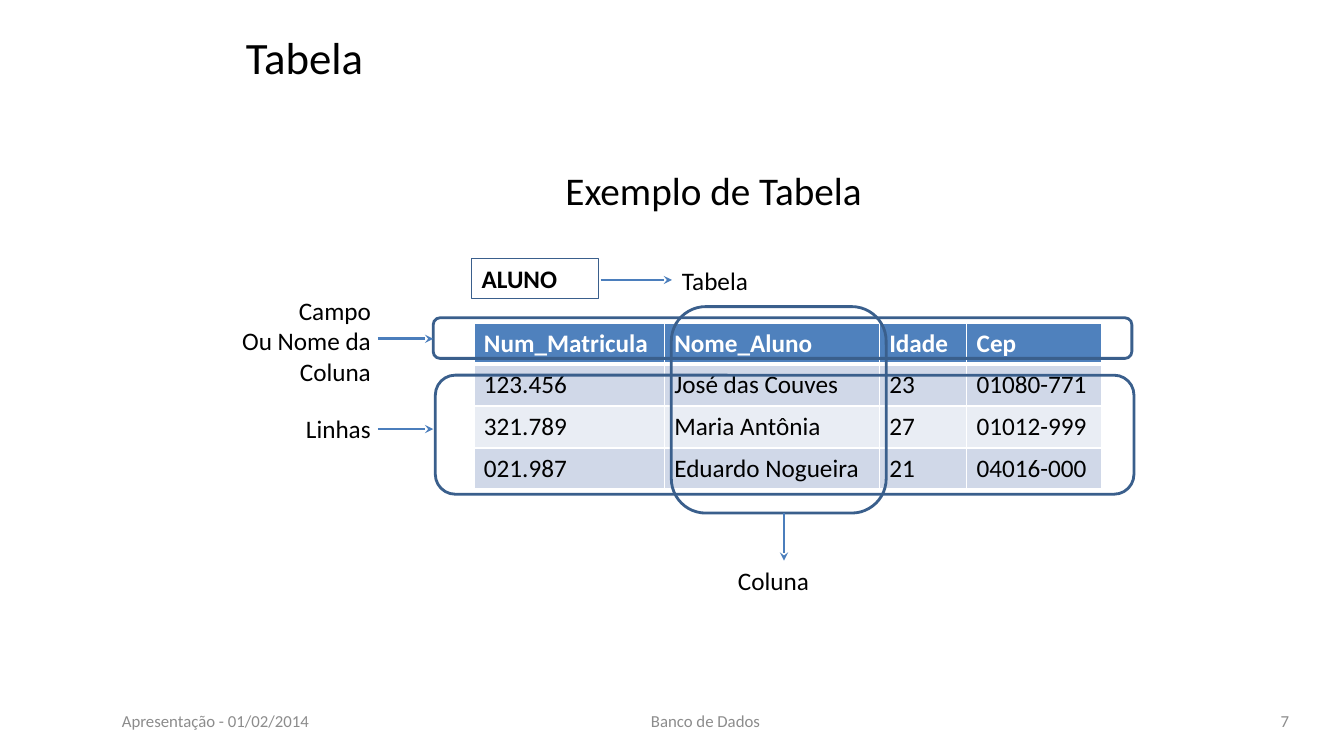
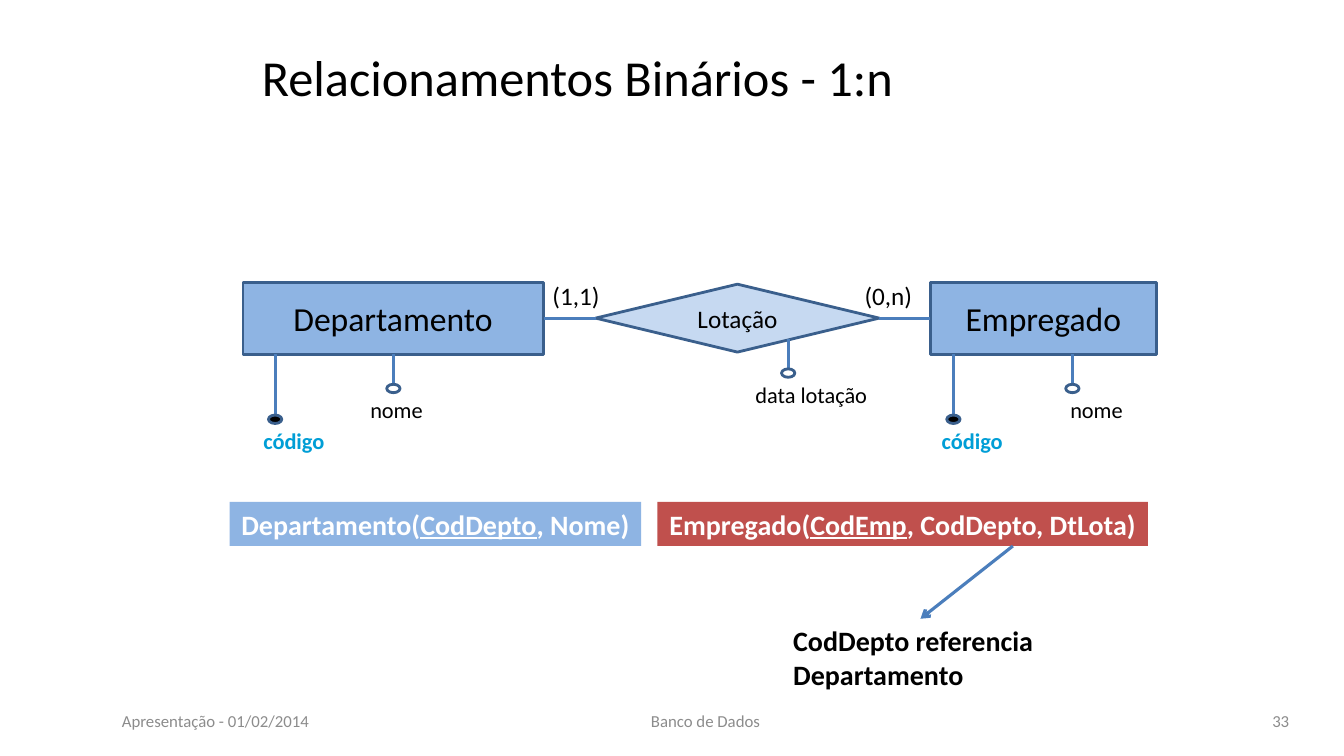
from dataclasses import dataclass

from lxml.etree import SubElement
from pptx import Presentation
from pptx.dml.color import RGBColor
from pptx.enum.shapes import MSO_CONNECTOR, MSO_SHAPE
from pptx.enum.text import MSO_ANCHOR, PP_ALIGN
from pptx.oxml.ns import qn
from pptx.util import Pt


# Theme: colours, type sizes and line widths
@dataclass(frozen=True)
class Theme:
    font: str = "Calibri"
    black: str = "000000"
    white: str = "FFFFFF"
    gray: str = "8C8C8C"
    edge: str = "3A5F8C"
    link: str = "4B7EBC"
    blue: str = "8EB4E3"
    pale: str = "C6D9F1"
    red: str = "C0504D"
    key: str = "009ED6"
    head: str = "4F81BD"
    bands: tuple = ("D0D8E8", "E9EDF4")
    foot: int = 12
    small: int = 16
    body: int = 18
    large: int = 20
    box: int = 24
    sub: int = 28
    title: int = 32
    wide: int = 36
    line: int = 2


T = Theme()
LEFT, MID, RIGHT = PP_ALIGN.LEFT, PP_ALIGN.CENTER, PP_ALIGN.RIGHT


def rgb(code):
    return RGBColor.from_string(code)


# Text
def add_run(para, text, size, color=T.black, bold=False, under=False):
    run = para.add_run()
    run.text = text
    font = run.font
    font.name, font.size = T.font, Pt(size)
    font.bold, font.underline = bold, under
    font.color.rgb = rgb(color)


def fill_text(frame, lines, size, align=LEFT, anchor=MSO_ANCHOR.TOP,
              wrap=True, **style):
    frame.word_wrap = wrap
    frame.vertical_anchor = anchor
    for i, line in enumerate(lines):
        para = frame.paragraphs[0] if i == 0 else frame.add_paragraph()
        para.alignment = align
        add_run(para, line, size, **style)


def add_text(slide, area, text, size=T.body, **style):
    box = slide.shapes.add_textbox(*map(Pt, area))
    fill_text(box.text_frame, text.split("\n"), size, **style)
    return box.text_frame


# Shapes and lines
def add_box(slide, kind, area, fill=None, edge=T.edge, width=T.line):
    shape = slide.shapes.add_shape(kind, *map(Pt, area))
    shape.shadow.inherit = False
    if fill:
        shape.fill.solid()
        shape.fill.fore_color.rgb = rgb(fill)
    else:
        shape.fill.background()
    if edge:
        shape.line.color.rgb = rgb(edge)
        shape.line.width = Pt(width)
    else:
        shape.line.fill.background()
    return shape


def add_line(slide, x1, y1, x2, y2, tip=None, width=T.line):
    line = slide.shapes.add_connector(
        MSO_CONNECTOR.STRAIGHT, Pt(x1), Pt(y1), Pt(x2), Pt(y2))
    line.line.color.rgb = rgb(T.link)
    line.line.width = Pt(width)
    props = line._element.spPr
    if tip:
        SubElement(props.find(qn("a:ln")), qn("a:tailEnd"), type=tip)
    SubElement(props, qn("a:effectLst"))


# Table
def add_edge(cell, side, width):
    props = cell._tc.get_or_add_tcPr()
    line = SubElement(props, qn("a:ln" + side), w=str(Pt(width)))
    paint = SubElement(line, qn("a:solidFill"))
    SubElement(paint, qn("a:srgbClr"), val=T.white)


def add_grid(slide, left, top, cols, rows, data):
    grid = slide.shapes.add_table(
        len(rows), len(cols), Pt(left), Pt(top),
        Pt(sum(cols)), Pt(sum(rows))).table
    for col, width in zip(grid.columns, cols):
        col.width = Pt(width)
    for r, (row, high) in enumerate(zip(data, rows)):
        grid.rows[r].height = Pt(high)
        first = r == 0
        for c, text in enumerate(row):
            cell = grid.cell(r, c)
            edges = {"L": 1, "R": 1, "T": 3 if r == 1 else 1,
                     "B": 3 if first else 1}
            for side, width in edges.items():
                add_edge(cell, side, width)
            cell.fill.solid()
            cell.fill.fore_color.rgb = rgb(
                T.head if first else T.bands[(r - 1) % 2])
            add_run(cell.text_frame.paragraphs[0], text, T.body,
                    T.white if first else T.black, bold=first)


# Entity diagram parts
def add_node(slide, kind, area, text, size, fill):
    shape = add_box(slide, kind, area, fill)
    fill_text(shape.text_frame, [text], size, align=MID,
              anchor=MSO_ANCHOR.MIDDLE)


def add_field(slide, x, top, end, name, left, width, key=False, align=LEFT):
    add_line(slide, x, top, x, end)
    add_box(slide, MSO_SHAPE.FLOWCHART_CONNECTOR, (x - 4.75, end, 9.5, 6),
            T.black if key else None)
    add_text(slide, (left, end + 5, width, 26.5), name, T.small, wrap=False,
             align=align, color=T.key if key else T.black, bold=key)


def add_schema(slide, left, width, fill, start, key, rest):
    shape = add_box(slide, MSO_SHAPE.RECTANGLE, (left, 358.5, width, 31.5),
                    fill, None)
    shape.text_frame.word_wrap = False
    para = shape.text_frame.paragraphs[0]
    para.alignment = MID
    for text in (start, key, rest):
        add_run(para, text, T.large, T.white, bold=True, under=text == key)


# Slide frame: title and footer
def new_slide(deck, title, area, size, page):
    slide = deck.slides.add_slide(deck.slide_layouts[6])
    add_text(slide, area, title, size, anchor=MSO_ANCHOR.MIDDLE)
    for left, width, text, align in (
            (80, 224, "Apresentação - 01/02/2014", LEFT),
            (352, 304, "Banco de Dados", MID),
            (704, 224, page, RIGHT)):
        add_text(slide, (left, 500.5, width, 29), text, T.foot, align=align,
                 anchor=MSO_ANCHOR.MIDDLE, color=T.gray)
    return slide


def table_slide(deck):
    slide = new_slide(deck, "Tabela", (168.5, 3.5, 663, 73.5), T.title, "7")
    frame = add_text(slide, (168.5, 66, 646.5, 102), "Exemplo de Tabela",
                     T.sub, align=MID)
    frame.margin_left, frame.margin_top = Pt(43), Pt(53)

    add_grid(slide, 338.5, 231, (136, 153.5, 62.5, 96.5), (29, 30, 30, 29), (
        ("Num_Matricula", "Nome_Aluno", "Idade", "Cep"),
        ("123.456", "José das Couves", "23", "01080-771"),
        ("321.789", "Maria Antônia", "27", "01012-999"),
        ("021.987", "Eduardo Nogueira", "21", "04016-000")))

    # Table name
    name = add_box(slide, MSO_SHAPE.RECTANGLE, (337, 184.5, 90.5, 29),
                   width=0.75)
    fill_text(name.text_frame, ["ALUNO"], T.body, bold=True)

    # Frames round the header, the rows and one column
    for area in ((309.5, 227, 499, 29), (311, 268, 499, 85),
                 (479.5, 219, 153.5, 147.5)):
        add_box(slide, MSO_SHAPE.ROUNDED_RECTANGLE, area)

    # Arrows and their labels
    for ends in ((270, 242, 309.5, 242), (429, 200, 480, 200),
                 (270, 306.5, 309.5, 306.5), (560, 366.5, 560, 400.5)):
        add_line(slide, *ends, tip="stealth")
    add_text(slide, (151, 207.5, 121, 72.5), "Campo\nOu Nome da Coluna",
             align=RIGHT)
    add_text(slide, (480, 186, 306, 29), "Tabela")
    add_text(slide, (211.5, 291.5, 64, 29), "Linhas")
    add_text(slide, (520, 400.5, 85, 29), "Coluna")


def link_slide(deck):
    slide = new_slide(deck, "Relacionamentos Binários - 1:n",
                      (180, 21, 636, 67.5), T.wide, "33")

    # Entities and their relation
    for left, width, text in ((664.5, 161.5, "Empregado"),
                              (173.5, 214.5, "Departamento")):
        add_node(slide, MSO_SHAPE.RECTANGLE, (left, 202, width, 51), text,
                 T.box, T.blue)
    add_node(slide, MSO_SHAPE.FLOWCHART_DECISION, (425.5, 203, 202.5, 48.5),
             "Lotação", T.body, T.pale)
    for start, end, left, text in ((388.5, 425.5, 387.5, "(1,1)"),
                                   (628, 664.5, 610.5, "(0,n)")):
        add_line(slide, start, 227.5, end, 227.5)
        add_text(slide, (left, 196.5, 49, 29), text, wrap=False)

    # Fields
    for x in (196.5, 681):
        add_field(slide, x, 253, 296.5, "código", x - 15.5, 59, key=True)
    for x, left in ((281, 257), (766, 757)):
        add_field(slide, x, 253, 274.5, "nome", left, 52.5, align=MID)
    add_field(slide, 563, 242, 263.5, "data lotação", 532, 95, align=MID)

    # Schemas and the foreign key
    add_schema(slide, 164, 294, T.blue, "Departamento(", "CodDepto", ", Nome)")
    add_schema(slide, 469.5, 350.5, T.red, "Empregado(", "CodEmp",
               ", CodDepto, DtLota)")
    add_text(slide, (559.5, 442, 222, 55.5), "CodDepto referencia Departamento",
             T.large, bold=True)
    add_line(slide, 723.5, 390, 657.5, 442, tip="arrow", width=2.25)


def main():
    deck = Presentation()
    deck.slide_width, deck.slide_height = Pt(960), Pt(540)
    table_slide(deck)
    link_slide(deck)
    deck.save("out.pptx")


main()
